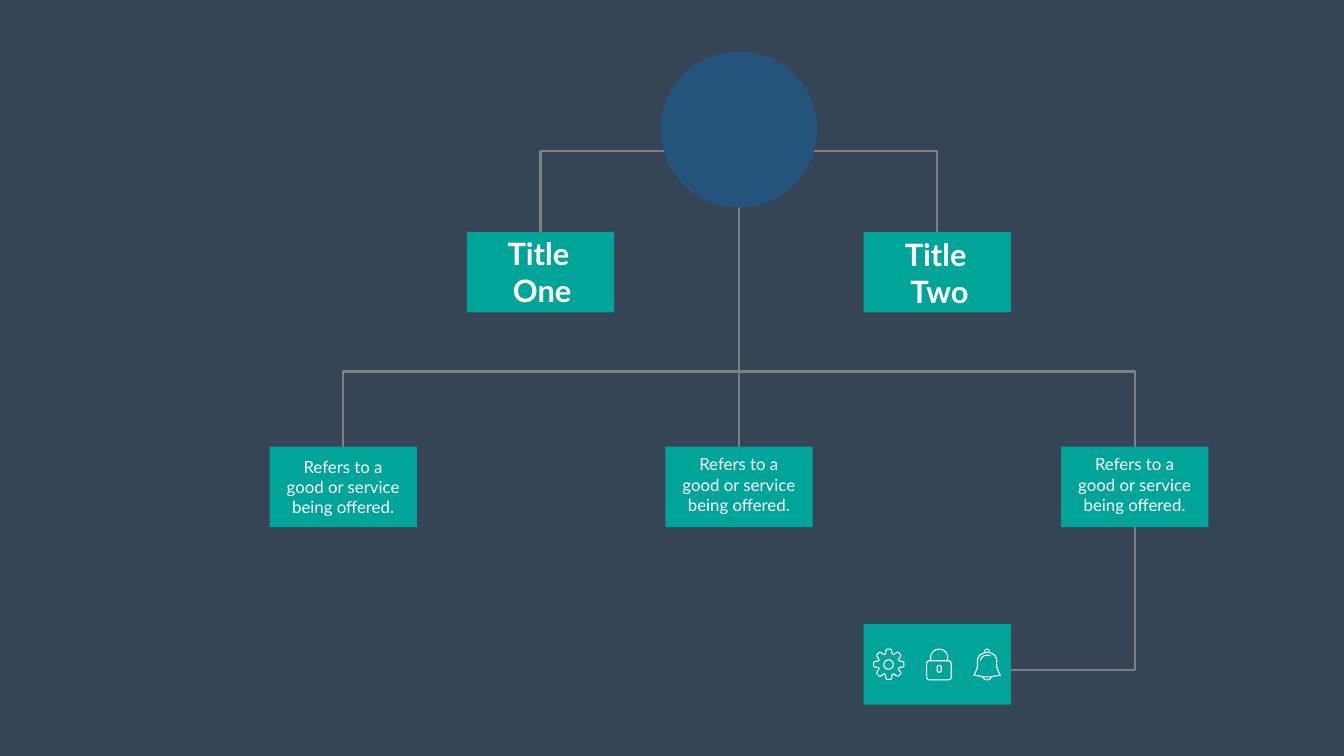
from math import cos, pi, radians, sin

from pptx import Presentation
from pptx.dml.color import RGBColor
from pptx.enum.shapes import MSO_CONNECTOR, MSO_SHAPE
from pptx.enum.text import MSO_AUTO_SIZE, PP_ALIGN
from pptx.oxml.ns import qn
from pptx.util import Inches, Pt

BACKGROUND, GREY, BLUE, TEAL, WHITE = "364556", "808080", "24547C", "00A499", "FFFFFF"
LINE_WIDTH, ICON_WIDTH = 3.46, 1.6
BOX_WIDTH, BOX_HEIGHT = 2.92, 1.6
color = RGBColor.from_string

presentation = Presentation()
presentation.slide_width = Inches(26.66)
presentation.slide_height = Inches(15)
slide = presentation.slides.add_slide(presentation.slide_layouts[6])
slide.background.fill.solid()
slide.background.fill.fore_color.rgb = color(BACKGROUND)


def add_text(text, left, top, width, height, size=24, bold=False, wrap=True):
    frame = slide.shapes.add_textbox(
        Inches(left), Inches(top), Inches(width), Inches(height)).text_frame
    frame.word_wrap = wrap
    frame.auto_size = MSO_AUTO_SIZE.SHAPE_TO_FIT_TEXT
    for index, line in enumerate(text.split("\n")):
        paragraph = frame.paragraphs[0] if index == 0 else frame.add_paragraph()
        paragraph.alignment = PP_ALIGN.CENTER
        run = paragraph.add_run()
        run.text = line
        run.font.name = "Lato"
        run.font.size = Pt(size)
        run.font.bold = bold
        run.font.color.rgb = color(WHITE)


def add_outline(points, line_color, width, close=False):
    points = [(Inches(x), Inches(y)) for x, y in points]
    builder = slide.shapes.build_freeform(*points[0], scale=1.0)
    builder.add_line_segments(points[1:], close=close)
    shape = builder.convert_to_shape()
    shape.shadow.inherit = False
    shape.fill.background()
    shape.line.color.rgb = color(line_color)
    shape.line.width = Pt(width)


# Lines between the levels, behind the boxes
add_outline([(6.8, 8.86), (6.8, 7.37), (22.51, 7.37), (22.51, 13.29), (18.59, 13.29)],
            GREY, LINE_WIDTH)
trunk = slide.shapes.add_connector(
    MSO_CONNECTOR.STRAIGHT, Inches(14.66), Inches(2.77), Inches(14.66), Inches(8.86))
trunk.line.color.rgb = color(GREY)
trunk.line.width = Pt(LINE_WIDTH)
properties = trunk._element.spPr
properties.append(properties.makeelement(qn("a:effectLst"), {}))
add_outline([(10.72, 5.08), (10.72, 3), (18.59, 3), (18.59, 5.08)], GREY, LINE_WIDTH)

# Root circle
circle = slide.shapes.add_shape(
    MSO_SHAPE.OVAL, Inches(13.11), Inches(1.02), Inches(3.1), Inches(3.1))
circle.shadow.inherit = False
circle.fill.solid()
circle.fill.fore_color.rgb = color(BLUE)
circle.line.fill.background()

# Boxes: two titles, three descriptions, one for the icons
title_lefts = [9.26, 17.13]
description_lefts = [5.35 + 7.85 * column for column in range(3)]
box_places = ([(left, 4.6) for left in title_lefts]
              + [(left, 8.86) for left in description_lefts] + [(17.13, 12.38)])
boxes = []
for left, top in box_places:
    box = slide.shapes.add_shape(
        MSO_SHAPE.RECTANGLE, Inches(left), Inches(top), Inches(BOX_WIDTH), Inches(BOX_HEIGHT))
    box.shadow.inherit = False
    box.fill.solid()
    box.fill.fore_color.rgb = color(TEAL)
    box.line.fill.background()
    boxes.append(box)
trunk.end_connect(boxes[3], 0)

# Gear: one tooth turned eight times
gear_x, gear_y = 17.63, 13.18
tooth = [(-0.07, -0.2), (-0.05, -0.29), (-0.04, -0.3), (0.04, -0.3), (0.05, -0.29), (0.07, -0.2)]
gear = []
for step in range(8):
    turn = step * pi / 4
    gear += [(gear_x + x * cos(turn) - y * sin(turn), gear_y + x * sin(turn) + y * cos(turn))
             for x, y in tooth]
add_outline(gear, WHITE, ICON_WIDTH, close=True)

# Bell: right half mirrored about its axis
bell_x = 19.58
half_bell = [(0, 12.94), (0.05, 12.95), (0.1, 12.97), (0.15, 13), (0.18, 13.05), (0.19, 13.1),
             (0.19, 13.2), (0.2, 13.27), (0.23, 13.33), (0.26, 13.4), (0.16, 13.41),
             (0.08, 13.43), (0, 13.43)]
bell = ([(bell_x + x, y) for x, y in half_bell]
        + [(bell_x - x, y) for x, y in half_bell[-2:0:-1]])
add_outline(bell, WHITE, ICON_WIDTH, close=True)

# Arcs: bell knob, clapper and highlight, then the lock shackle
arcs = [
    # centre x, centre y, radius x, radius y, start and end angle
    (bell_x, 12.93, 0.05, 0.05, 180, 360),
    (bell_x, 13.43, 0.08, 0.06, 180, 0),
    (bell_x, 13.11, 0.13, 0.11, 180, 300),
    (18.63, 13.05, 0.17, 0.17, 160, 380),
]
for x, y, radius_x, radius_y, start, end in arcs:
    angles = [radians(start + (end - start) * step / 16) for step in range(17)]
    add_outline([(x + radius_x * cos(a), y + radius_y * sin(a)) for a in angles],
                WHITE, ICON_WIDTH)

# Gear hub, lock body and keyhole
icon_parts = [
    (MSO_SHAPE.OVAL, 17.53, 13.09, 0.19, 0.19, None),
    (MSO_SHAPE.ROUNDED_RECTANGLE, 18.38, 13.11, 0.49, 0.38, 0.15),
    (MSO_SHAPE.ROUNDED_RECTANGLE, 18.59, 13.2, 0.08, 0.14, 0.5),
]
for kind, left, top, width, height, rounding in icon_parts:
    part = slide.shapes.add_shape(kind, Inches(left), Inches(top), Inches(width), Inches(height))
    part.shadow.inherit = False
    part.fill.background()
    part.line.color.rgb = color(WHITE)
    part.line.width = Pt(ICON_WIDTH)
    if rounding is not None:
        part.adjustments[0] = rounding

# Wording on the boxes
add_text("Title \nOne", 9.96, 4.61, 1.59, 1.58, size=44, bold=True, wrap=False)
add_text("Title \nTwo", 17.84, 4.62, 1.59, 1.58, size=44, bold=True, wrap=False)
for left, top in zip(description_lefts, (9.01, 8.96, 8.96)):
    add_text("Refers to a good or service being offered.", left + 0.22, top, 2.47, 1.31)

presentation.save("out.pptx")
